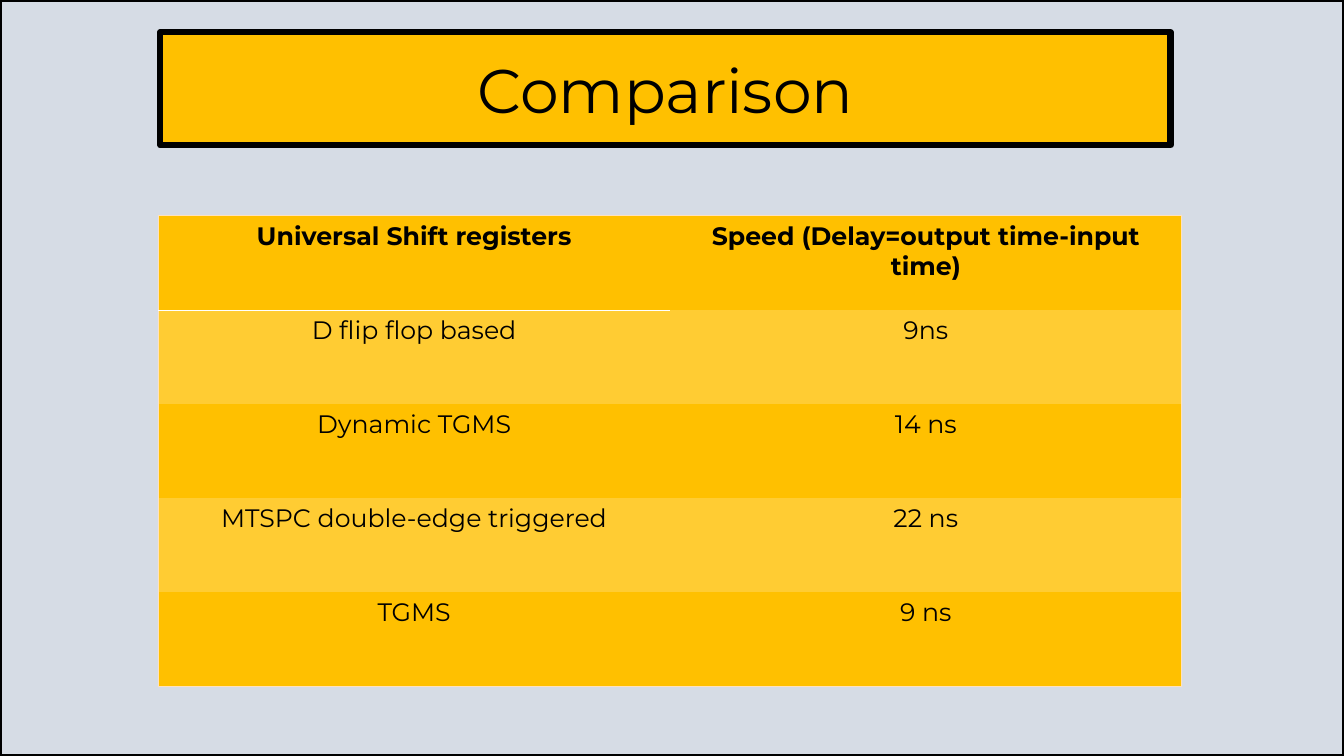
from dataclasses import dataclass

from lxml.etree import SubElement
from pptx import Presentation
from pptx.dml.color import RGBColor
from pptx.enum.shapes import MSO_SHAPE as Shape
from pptx.enum.text import MSO_ANCHOR as Anchor, PP_ALIGN as Align
from pptx.oxml.ns import qn
from pptx.util import Inches, Pt


@dataclass(frozen=True)
class Theme:
    font: str = "Montserrat"
    title_size: int = 44
    table_size: int = 18
    ink: str = "000000"
    backdrop: str = "D6DCE5"
    amber: str = "FFC000"
    light_amber: str = "FFCC33"
    edge: str = "FFE2BD"
    divider: str = "FFFFFF"


ROWS = [
    ("Universal Shift registers", "Speed (Delay=output time-input time)"),
    ("D flip flop based", "9ns"),
    ("Dynamic TGMS", "14 ns"),
    ("MTSPC double-edge triggered", "22 ns"),
    ("TGMS", "9 ns"),
]


class SlideBuilder:
    def __init__(self, page, theme):
        self.page = page
        self.theme = theme

    def paint(self, box, fill, line_width):
        box.fill.solid()
        box.fill.fore_color.rgb = RGBColor.from_string(fill)
        box.line.color.rgb = RGBColor.from_string(self.theme.ink)
        box.line.width = Pt(line_width)

    def add_text(self, frame, text, size, bold=False):
        para = frame.paragraphs[0]
        para.alignment = Align.CENTER
        span = para.add_run()
        span.text = text
        span.font.color.rgb = RGBColor.from_string(self.theme.ink)
        font_format = {"name": self.theme.font, "size": Pt(size), "bold": bold}
        for name, value in font_format.items():
            setattr(span.font, name, value)

    def backdrop(self, width, height):
        box = self.page.shapes.add_shape(Shape.RECTANGLE, 0, 0, width, height)
        box.shadow.inherit = False
        self.paint(box, self.theme.backdrop, 3)

    def title(self, text, left, top, width, height):
        box = self.page.shapes.title
        place = {"left": left, "top": top, "width": width, "height": height}
        for name, value in place.items():
            setattr(box, name, Inches(value))
        self.paint(box, self.theme.amber, 4.5)
        box.text_frame.vertical_anchor = Anchor.MIDDLE
        box.text_frame.word_wrap = True
        self.add_text(box.text_frame, text, self.theme.title_size)
        # Bring the title in front of the backdrop
        self.page.shapes.element.append(box.element)

    def border(self, cell, side, colour):
        line = SubElement(cell._tc.get_or_add_tcPr(), qn(f"a:ln{side}"))
        if colour is None:
            SubElement(line, qn("a:noFill"))
            return
        line.set("w", str(Pt(0.5)))
        fill = SubElement(line, qn("a:solidFill"))
        SubElement(fill, qn("a:srgbClr"), val=colour)

    def table(self, rows, left, top, width, height):
        theme = self.theme
        last_row, last_column = len(rows) - 1, len(rows[0]) - 1
        frame = self.page.shapes.add_table(
            len(rows), len(rows[0]),
            Inches(left), Inches(top), Inches(width), Inches(height))
        for r, texts in enumerate(rows):
            for c, text in enumerate(texts):
                cell = frame.table.cell(r, c)
                # Outer edges, plus a divider under the first heading
                borders = {
                    "L": theme.edge if c == 0 else None,
                    "R": theme.edge if c == last_column else None,
                    "T": theme.edge if r == 0 else None,
                    "B": theme.edge if r == last_row else None,
                }
                if (r, c) == (0, 0):
                    borders["B"] = theme.divider
                elif (r, c) == (1, 0):
                    borders["T"] = theme.divider
                for side, colour in borders.items():
                    self.border(cell, side, colour)
                # Alternating bands
                band = theme.light_amber if r % 2 else theme.amber
                cell.fill.solid()
                cell.fill.fore_color.rgb = RGBColor.from_string(band)
                self.add_text(cell.text_frame, text, theme.table_size, r == 0)


def main():
    deck = Presentation()
    deck.slide_width, deck.slide_height = Inches(13.33), Inches(7.5)
    page = deck.slides.add_slide(deck.slide_layouts[5])
    builder = SlideBuilder(page, Theme())

    # Backdrop, comparison table and title banner
    builder.backdrop(deck.slide_width, deck.slide_height)
    builder.table(ROWS, 1.57, 2.14, 10.15, 4.67)
    builder.title("Comparison", 1.59, 0.32, 10.02, 1.12)

    deck.save("out.pptx")


if __name__ == "__main__":
    main()
